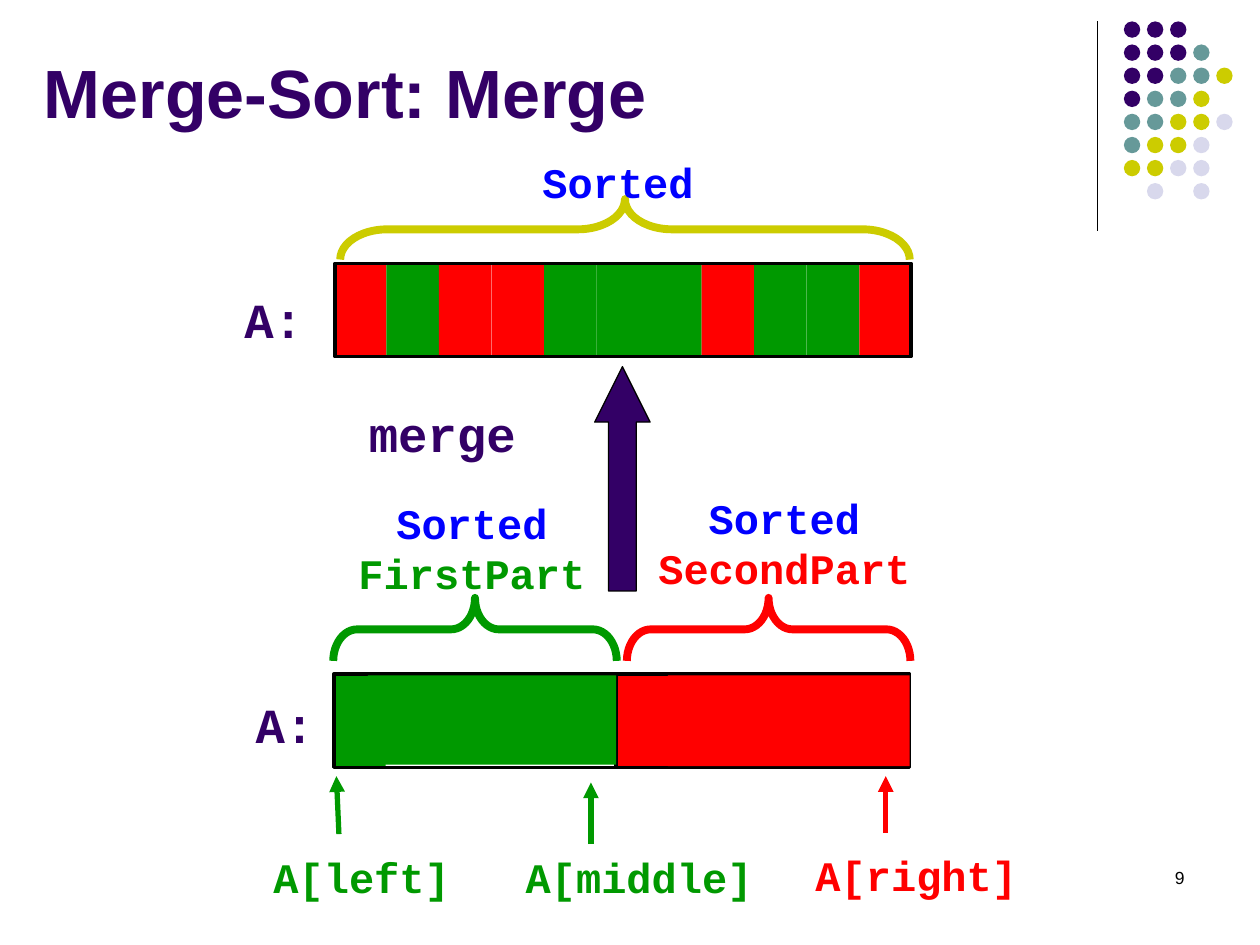
from pptx import Presentation
from pptx.dml.color import RGBColor
from pptx.enum.shapes import MSO_CONNECTOR as Connector, MSO_SHAPE as Shape
from pptx.enum.text import MSO_ANCHOR as Anchor, PP_ALIGN as Align
from pptx.oxml.ns import qn
from pptx.util import Pt
from lxml.etree import SubElement

PX = 9144
COLOURS = {
    "purple": "330066", "teal": "669999", "olive": "CCCC00", "pale": "D8D8EC",
    "green": "009900", "red": "FF0000", "blue": "0000FF", "black": "000000",
}
MONO = "Courier New"


def colour(name):
    return RGBColor.from_string(COLOURS[name])


def add_figure(kind, box, fill=None, line=None, width=0):
    shape = slide.shapes.add_shape(kind, *[round(value * PX) for value in box])
    shape.shadow.inherit = False
    if fill:
        shape.fill.solid()
        shape.fill.fore_color.rgb = colour(fill)
    else:
        shape.fill.background()
    if line:
        shape.line.color.rgb = colour(line)
        shape.line.width = Pt(width)
    else:
        shape.line.fill.background()
    return shape


presentation = Presentation()
presentation.slide_width = 1000 * PX
presentation.slide_height = 750 * PX
slide = presentation.slides.add_slide(presentation.slide_layouts[6])

dot_colours = {"P": "purple", "T": "teal", "O": "olive", "L": "pale"}
dot_rows = ["PPP", "PPPT", "PPTTO", "PTTO", "TTOOL", "TOOL", "OOLL", " L L"]
for row, letters in enumerate(dot_rows):
    for column, letter in enumerate(letters):
        if letter in dot_colours:
            box = (892 + column * 18.33, 17 + row * 18.33, 13, 13)
            add_figure(Shape.OVAL, box, dot_colours[letter])

add_figure(Shape.RECTANGLE, (489, 534, 42, 75), "red")
add_figure(Shape.RECTANGLE, (264, 534, 42, 75), "green")
add_figure(Shape.RECTANGLE, (265, 535, 457, 74), None, "black", 2)

lines = [
    (871, 17, 871, 183, "black", 0.75, False),
    (489, 534, 489, 609, "black", 2, False),
    (269, 662, 267, 616, "green", 3, True),
    (469, 670, 469, 621, "green", 3, True),
    (703, 661, 703, 616, "red", 3, True),
]
for x1, y1, x2, y2, name, width, arrow in lines:
    connector = slide.shapes.add_connector(
        Connector.STRAIGHT, x1 * PX, y1 * PX, x2 * PX, y2 * PX)
    connector.line.color.rgb = colour(name)
    connector.line.width = Pt(width)
    if arrow:
        SubElement(connector.line._get_or_add_ln(), qn("a:tailEnd"), type="triangle")
    SubElement(connector._element.spPr, qn("a:effectLst"))

add_figure(Shape.RECTANGLE, (530, 536, 192, 72), "red")
add_figure(Shape.RECTANGLE, (292, 536, 197, 71), "green")

cell_colours = {"R": "red", "G": "green"}
for index, letter in enumerate("RGRRGGGRGGR"):
    box = (265 + index * 41.7, 209, 41.7, 75)
    add_figure(Shape.RECTANGLE, box, cell_colours[letter])
add_figure(Shape.RECTANGLE, (266, 209, 457, 74), None, "black", 2)

braces = [
    ((352, 387, 50, 225), "green", 0.38),
    ((585, 387, 50, 225), "red", 0.38),
    ((472, -44, 48, 452), "olive", 0.78),
]
for box, name, curve in braces:
    brace = add_figure(Shape.RIGHT_BRACE, box, None, name, 4.5)
    brace.rotation = 270
    brace.adjustments[0] = curve
    brace.adjustments[1] = 0.5

merge_arrow = add_figure(Shape.UP_ARROW, (472, 291, 44, 178), "purple", "black", 0.75)
merge_arrow.adjustments[0] = 0.5
merge_arrow.adjustments[1] = 1

texts = [
    ((25, 24, 850, 96), Align.LEFT, "Arial", 39, [("Merge-Sort: Merge", "purple")]),
    ((357, 119, 267, 50), Align.CENTER, MONO, 24, [("Sorted", "blue")]),
    ((184, 225, 71, 57), Align.LEFT, MONO, 28, [("A:", "purple")]),
    ((247, 315, 208, 57), Align.CENTER, MONO, 28, [("merge", "purple")]),
    ((262, 390, 225, 90), Align.CENTER, MONO, 24,
     [("Sorted ", "blue"), ("FirstPart", "green")]),
    ((489, 386, 267, 90), Align.CENTER, MONO, 24,
     [("Sorted ", "blue"), ("SecondPart", "red")]),
    ((193, 546, 71, 57), Align.LEFT, MONO, 28, [("A:", "purple")]),
    ((191, 671, 192, 50), Align.CENTER, MONO, 24, [("A[left]", "green")]),
    ((389, 671, 218, 50), Align.RIGHT, MONO, 24, [("A[middle]", "green")]),
    ((615, 669, 202, 50), Align.RIGHT, MONO, 24, [("A[right]", "red")]),
    ((717, 683, 233, 50), Align.RIGHT, "Arial", 10, [("9", "black")]),
]
for box, align, font_name, size, runs in texts:
    text_box = slide.shapes.add_textbox(*[value * PX for value in box])
    frame = text_box.text_frame
    frame.word_wrap = True
    frame.vertical_anchor = Anchor.MIDDLE if size == 39 else Anchor.TOP
    paragraph = frame.paragraphs[0]
    paragraph.alignment = align
    for text, name in runs:
        run = paragraph.add_run()
        run.text = text
        run.font.name = font_name
        run.font.size = Pt(size)
        run.font.bold = size > 10
        run.font.color.rgb = colour(name)

presentation.save("out.pptx")
